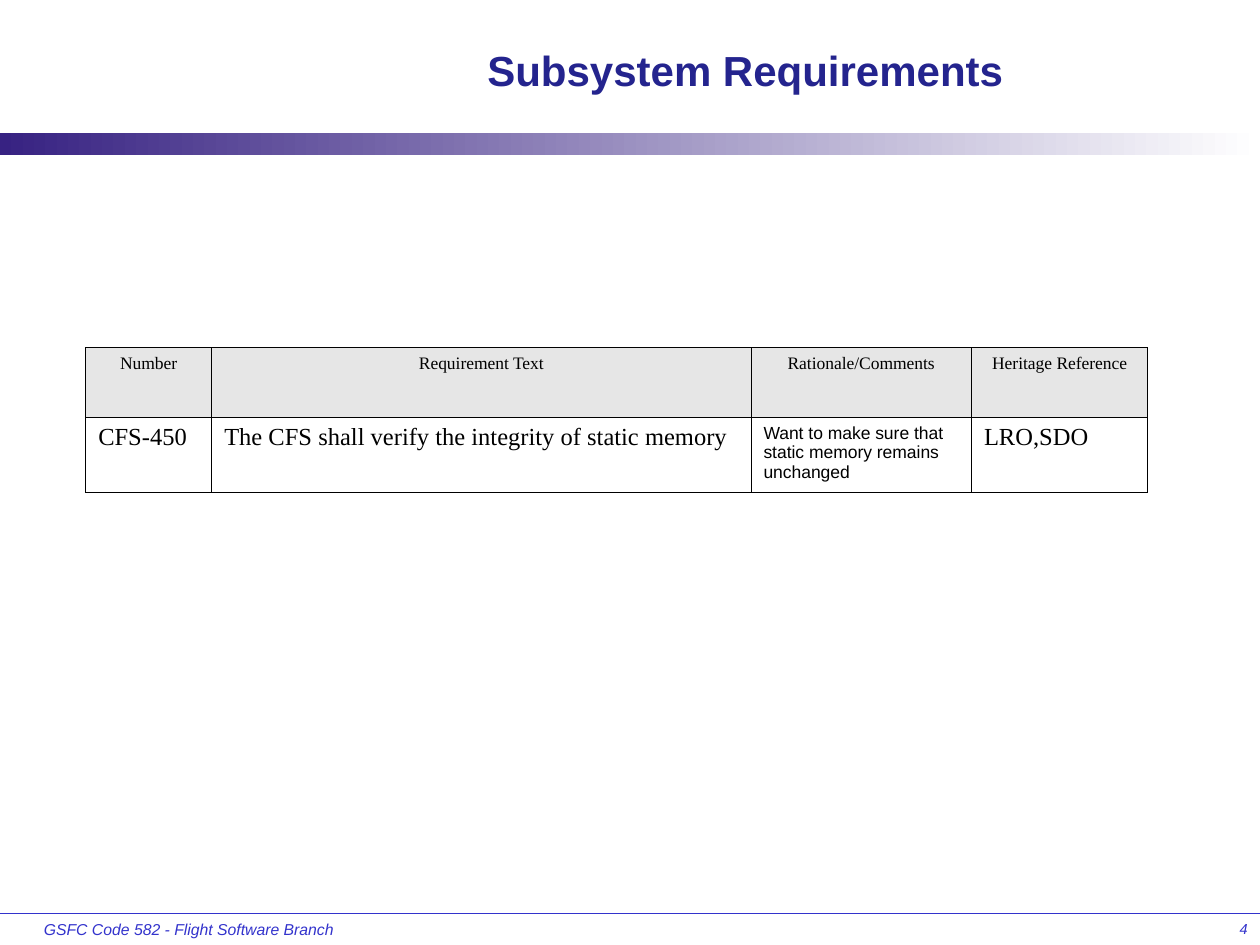
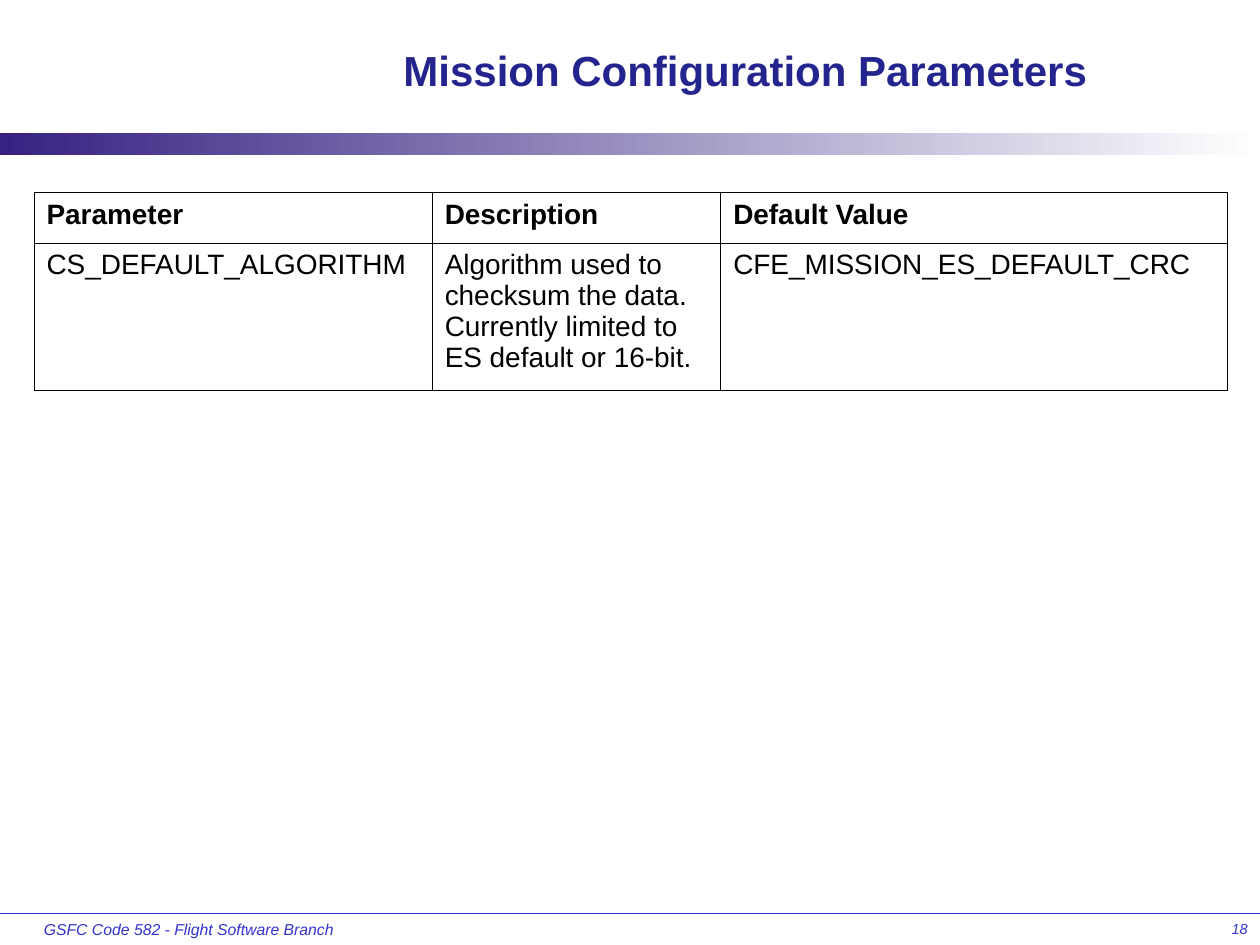
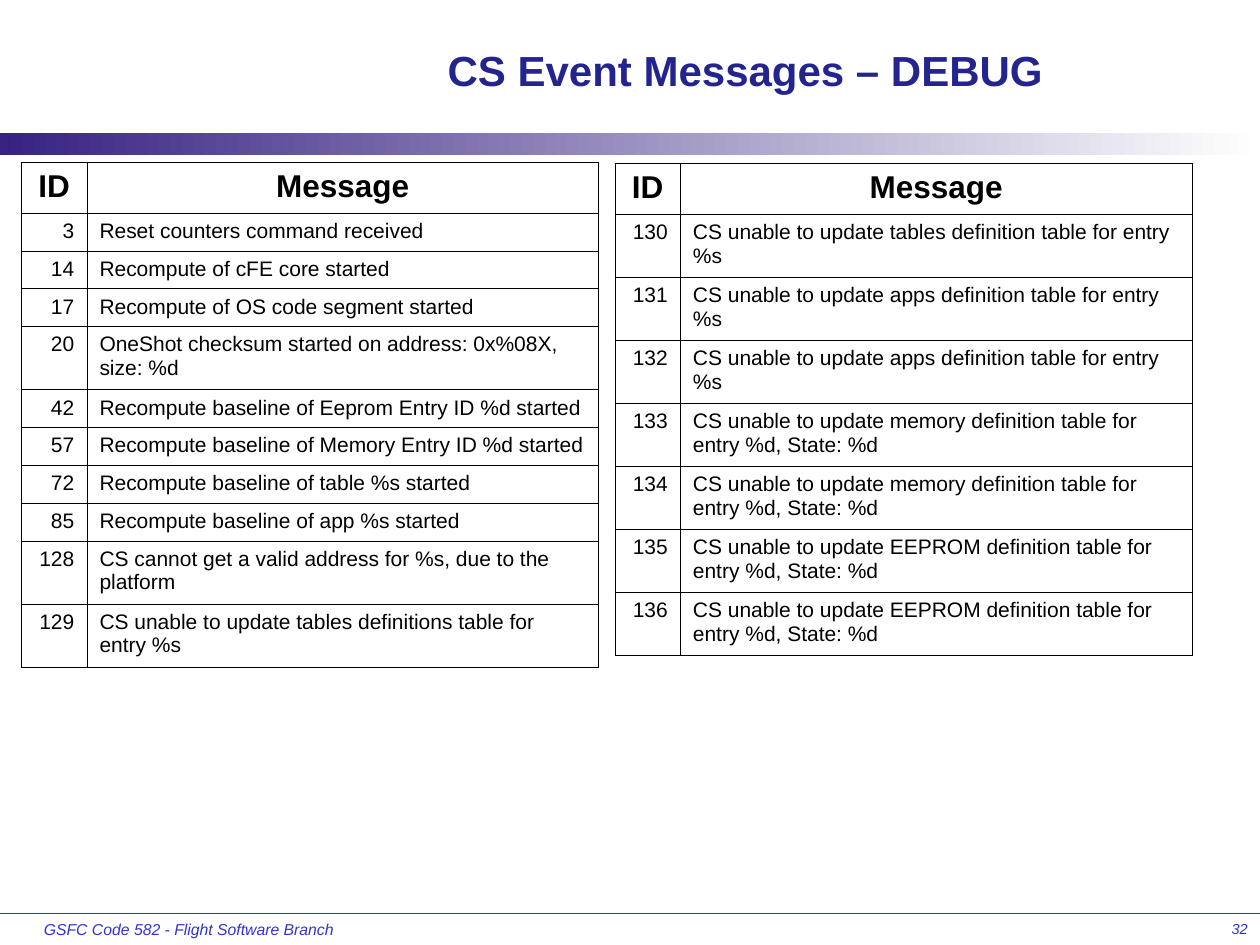
from dataclasses import dataclass, replace

from lxml import etree
from pptx import Presentation
from pptx.dml.color import RGBColor
from pptx.enum.shapes import MSO_CONNECTOR, MSO_SHAPE
from pptx.enum.text import MSO_ANCHOR, PP_ALIGN
from pptx.oxml.ns import qn
from pptx.util import Emu, Pt

LEFT, CENTER, RIGHT = PP_ALIGN.LEFT, PP_ALIGN.CENTER, PP_ALIGN.RIGHT
MIDDLE = MSO_ANCHOR.MIDDLE
RECTANGLE, STRAIGHT = MSO_SHAPE.RECTANGLE, MSO_CONNECTOR.STRAIGHT
TITLE_ONLY = 5

# 100 px to the inch
EMU_PER_PX = 9144
SLIDE_WIDTH, SLIDE_HEIGHT = 1000, 750
FOOTER_TOP, FOOTER_HEIGHT = 725, 25

SANS, SERIF = "Arial", "Times New Roman"
TITLE_BLUE, FOOTER_BLUE = "24248E", "3333CC"
BAND_START, BAND_END = "372282", "FFFFFF"
BLACK, HEADER_GREY = "000000", "E6E6E6"
BORDER_WIDTH = Pt(0.45)
FOOTER_TEXT = "GSFC Code 582 - Flight Software Branch"


@dataclass(frozen=True)
class CellStyle:
    size: float
    font: str = SANS
    bold: bool = False
    align: PP_ALIGN = LEFT
    fill: str | None = None


@dataclass(frozen=True)
class Grid:
    left: int
    top: int
    widths: tuple[int, ...]
    heights: tuple[int, ...]
    header_style: CellStyle
    column_styles: tuple[CellStyle, ...]
    rows: tuple[tuple[str, ...], ...]


@dataclass(frozen=True)
class Page:
    title: str
    number: int
    grids: tuple[Grid, ...]


# Requirements table
REQUIREMENT = CellStyle(14, SERIF)
REQUIREMENTS = Grid(
    68, 276, (100, 428, 175, 140), (55, 60),
    CellStyle(10, SERIF, align=CENTER, fill=HEADER_GREY),
    (REQUIREMENT, REQUIREMENT, CellStyle(10), REQUIREMENT),
    (
        ("Number", "Requirement Text", "Rationale/Comments", "Heritage Reference"),
        ("CFS-450", "The CFS shall verify the integrity of static memory",
         "Want to make sure that static memory remains unchanged", "LRO,SDO"),
    ),
)

# Parameters table
PARAMETERS = Grid(
    27, 153, (316, 229, 402), (40, 117),
    CellStyle(16, bold=True),
    (CellStyle(16),) * 3,
    (
        ("Parameter", "Description", "Default Value"),
        ("CS_DEFAULT_ALGORITHM",
         "Algorithm used to checksum the data. Currently limited to ES default or 16-bit.",
         "CFE_MISSION_ES_DEFAULT_CRC"),
    ),
)

# Event message tables
ONE_LINE, TWO_LINES = 30, 50
EARLY_EVENTS = Grid(
    17, 129, (52, 406),
    (40, *[ONE_LINE] * 3, TWO_LINES, *[ONE_LINE] * 4, *[TWO_LINES] * 2),
    CellStyle(18, bold=True, align=CENTER),
    (CellStyle(12, align=RIGHT), CellStyle(12)),
    (
        ("ID", "Message"),
        ("3", "Reset counters command received"),
        ("14", "Recompute of cFE core started"),
        ("17", "Recompute of OS code segment started"),
        ("20", "OneShot checksum started on address: 0x%08X, size: %d"),
        ("42", "Recompute baseline of Eeprom Entry ID %d started"),
        ("57", "Recompute baseline of Memory Entry ID %d started"),
        ("72", "Recompute baseline of table %s started"),
        ("85", "Recompute baseline of app %s started"),
        ("128", "CS cannot get a valid address for %s, due to the platform"),
        ("129", "CS unable to update tables definitions table for entry %s"),
    ),
)
UPDATE_FAILURES = (
    ("tables", "%s"), ("apps", "%s"), ("apps", "%s"),
    ("memory", "%d, State: %d"), ("memory", "%d, State: %d"),
    ("EEPROM", "%d, State: %d"), ("EEPROM", "%d, State: %d"),
)
LATE_EVENTS = replace(
    EARLY_EVENTS, left=488, top=130,
    heights=(40, *[TWO_LINES] * len(UPDATE_FAILURES)),
    rows=(
        ("ID", "Message"),
        *((str(event_id), f"CS unable to update {target} definition table for entry {entry}")
          for event_id, (target, entry) in enumerate(UPDATE_FAILURES, start=130)),
    ),
)

PAGES = (
    Page("Subsystem Requirements", 4, (REQUIREMENTS,)),
    Page("Mission Configuration Parameters", 18, (PARAMETERS,)),
    Page("CS Event Messages – DEBUG", 32, (EARLY_EVENTS, LATE_EVENTS)),
)


def px(length: int) -> Emu:
    return Emu(length * EMU_PER_PX)


def rgb(colour: str) -> RGBColor:
    return RGBColor.from_string(colour)


def write_text(frame, text: str, *, size: float, font: str = SANS, colour: str = BLACK,
               bold: bool = False, italic: bool = False, align: PP_ALIGN = LEFT) -> None:
    paragraph = frame.paragraphs[0]
    paragraph.alignment = align
    run = paragraph.add_run()
    run.text = text
    run.font.size = Pt(size)
    run.font.name = font
    run.font.bold = bold
    run.font.italic = italic
    run.font.color.rgb = rgb(colour)


def add_title(slide, text: str) -> None:
    title = slide.shapes.title
    title.left, title.top, title.width, title.height = map(px, (208, 17, 767, 76))
    title.text_frame.vertical_anchor = MIDDLE
    write_text(title.text_frame, text, size=24, colour=TITLE_BLUE, bold=True, align=CENTER)


def add_footer_text(slide, text: str, left: int, width: int, size: float,
                    align: PP_ALIGN) -> None:
    box = slide.shapes.add_textbox(px(left), px(FOOTER_TOP), px(width), px(FOOTER_HEIGHT))
    box.text_frame.word_wrap = True
    write_text(box.text_frame, text, size=size, colour=FOOTER_BLUE, italic=True, align=align)


def add_frame(slide, number: int) -> None:
    # Footer rule
    rule = slide.shapes.add_connector(
        STRAIGHT, px(0), px(FOOTER_TOP), px(SLIDE_WIDTH), px(FOOTER_TOP))
    rule.line.color.rgb = rgb(FOOTER_BLUE)
    rule.line.width = Pt(0.75)
    etree.SubElement(rule._element.spPr, qn("a:effectLst"))

    # Fading band under the title
    band = slide.shapes.add_shape(RECTANGLE, px(0), px(106), px(SLIDE_WIDTH), px(17))
    band.shadow.inherit = False
    band.line.fill.background()
    band.fill.gradient()
    band.fill.gradient_angle = 0
    for stop, colour in zip(band.fill.gradient_stops, (BAND_START, BAND_END)):
        stop.color.rgb = rgb(colour)

    # Branch name and page number
    add_footer_text(slide, FOOTER_TEXT, 25, 250, 9, LEFT)
    add_footer_text(slide, str(number), 792, 208, 8.3, RIGHT)


def add_borders(cell) -> None:
    properties = cell._tc.get_or_add_tcPr()
    for side in ("a:lnL", "a:lnR", "a:lnT", "a:lnB"):
        line = etree.SubElement(properties, qn(side), w=str(BORDER_WIDTH))
        fill = etree.SubElement(line, qn("a:solidFill"))
        etree.SubElement(fill, qn("a:srgbClr"), val=str(rgb(BLACK)))


def fill_cell(cell, text: str, style: CellStyle) -> None:
    add_borders(cell)
    if style.fill:
        cell.fill.solid()
        cell.fill.fore_color.rgb = rgb(style.fill)
    else:
        cell.fill.background()
    write_text(cell.text_frame, text, size=style.size, font=style.font,
               bold=style.bold, align=style.align)


def add_grid(slide, grid: Grid) -> None:
    table = slide.shapes.add_table(
        len(grid.heights), len(grid.widths), px(grid.left), px(grid.top),
        px(sum(grid.widths)), px(sum(grid.heights))).table
    table.first_row = table.horz_banding = False
    for column, width in zip(table.columns, grid.widths):
        column.width = px(width)
    for row, height in zip(table.rows, grid.heights):
        row.height = px(height)
    for row_index, texts in enumerate(grid.rows):
        for column_index, text in enumerate(texts):
            style = grid.column_styles[column_index] if row_index else grid.header_style
            fill_cell(table.cell(row_index, column_index), text, style)


def main() -> None:
    deck = Presentation()
    deck.slide_width, deck.slide_height = px(SLIDE_WIDTH), px(SLIDE_HEIGHT)
    for page in PAGES:
        slide = deck.slides.add_slide(deck.slide_layouts[TITLE_ONLY])
        add_title(slide, page.title)
        add_frame(slide, page.number)
        for grid in page.grids:
            add_grid(slide, grid)
    deck.save("out.pptx")


if __name__ == "__main__":
    main()
